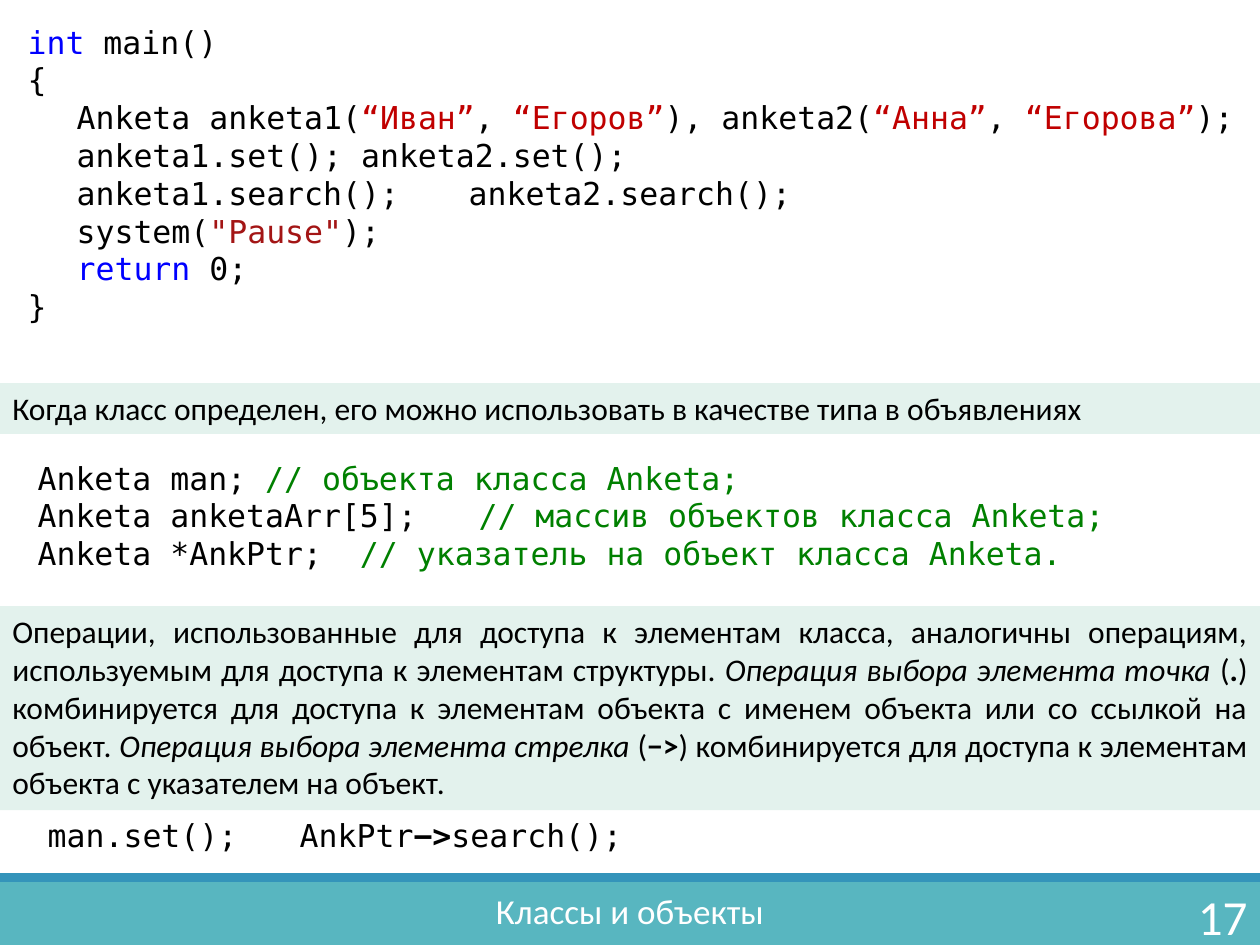
import pptx
import pptx.util
import pptx.dml.color
import pptx.enum.shapes
import pptx.enum.text
import pptx.oxml
import pptx.oxml.ns
import lxml.etree

Pt = pptx.util.Pt
PP_ALIGN = pptx.enum.text.PP_ALIGN
ANCHOR = pptx.enum.text.MSO_ANCHOR
CODE, TEXT = "DejaVu Sans Mono", "Calibri"
COLORS = {
    "footer": "58B6C0", "stripe": "3494BA", "band": "E3F2ED",
    "plain": "000000", "keyword": "0000FF", "string": "C00000",
    "literal": "A31515", "comment": "008000", "white": "FFFFFF",
}

prs = pptx.Presentation()
prs.slide_width, prs.slide_height = Pt(720), Pt(540)
s = prs.slides.add_slide(prs.slide_layouts[5])


def add_rect(left, top, width, height, color):
    sp = s.shapes.add_shape(pptx.enum.shapes.MSO_SHAPE.RECTANGLE,
                            Pt(left), Pt(top), Pt(width), Pt(height))
    sp.shadow.inherit = False
    sp.fill.solid()
    sp.fill.fore_color.rgb = pptx.dml.color.RGBColor.from_string(COLORS[color])
    sp.line.fill.background()
    return sp


def write(sp, lines, font, size=18, align=PP_ALIGN.LEFT, anchor=ANCHOR.TOP, tabs=()):
    tf = sp.text_frame
    tf.word_wrap = True
    tf.vertical_anchor = anchor
    for i, line in enumerate(lines):
        p = tf.add_paragraph() if i else tf.paragraphs[0]
        p.alignment = align
        if font == CODE:
            p.line_spacing = Pt(21.6)
        if tabs:
            tab_list = lxml.etree.SubElement(p._p.get_or_add_pPr(), pptx.oxml.ns.qn("a:tabLst"))
            for pos in tabs:
                lxml.etree.SubElement(tab_list, pptx.oxml.ns.qn("a:tab"), pos=str(Pt(pos)), algn="l")
        p.font.name, p.font.size = font, Pt(size)
        for text, style in line:
            r = p.add_run()
            r.text = text
            color = style if style in COLORS else "plain"
            r.font.color.rgb = pptx.dml.color.RGBColor.from_string(COLORS[color])
            if style == "bold":
                r.font.bold = True
            if style == "italic":
                r.font.italic = True


add_rect(0, 504, 720, 36, "footer")
add_rect(0, 499, 720, 5, "stripe")

title = s.shapes.title
title.element.getparent().append(title.element)
title.left, title.top, title.width, title.height = Pt(275), Pt(508.3), Pt(170), Pt(24.5)
tf = title.text_frame
tf.margin_left = tf.margin_top = tf.margin_right = tf.margin_bottom = 0
tf.auto_size = pptx.enum.text.MSO_AUTO_SIZE.NONE
write(title, [[("Классы и объекты", "white")]], TEXT, 20, PP_ALIGN.CENTER)

main_code = [
    [("int", "keyword"), (" main()", "plain")],
    [("{", "plain")],
    [("\tAnketa anketa1(", "plain"), ("“Иван”", "string"), (", ", "plain"),
     ("“Егоров”", "string"), ("), anketa2(", "plain"), ("“Анна”", "string"),
     (", ", "plain"), ("“Егорова”", "string"), (");", "plain")],
    [("\tanketa1.set(); anketa2.set();", "plain")],
    [("\tanketa1.search(); \tanketa2.search();", "plain")],
    [("\tsystem(", "plain"), ("\"Pause\"", "literal"), (");", "plain")],
    [("\treturn", "keyword"), (" 0;", "plain")],
    [("}", "plain")],
]
declarations = [
    [("Anketa man; ", "plain"), ("// объекта класса Anketa;", "comment")],
    [("Anketa anketaArr[5];\t", "plain"), ("// массив объектов класса Anketa;", "comment")],
    [("Anketa *AnkPtr;  ", "plain"), ("// указатель на объект класса Anketa.", "comment")],
]
calls = [[("man.set(); \tAnkPtr", "plain"), ("−>", "bold"), ("search();", "plain")]]

for left, top, width, height, lines, tabs in [
    (8.7, 9.4, 711.3, 181.4, main_code, (28, 252)),
    (14.4, 258.5, 635, 72.7, declarations, (252,)),
    (20.2, 463, 360, 29, calls, (144,)),
]:
    sp = s.shapes.add_textbox(Pt(left), Pt(top), Pt(width), Pt(height))
    write(sp, lines, CODE, tabs=tabs)

usage = [[("Когда класс определен, его можно использовать в качестве типа в объявлениях", "plain")]]
access = [[
    ("Операции, использованные для доступа к элементам класса, аналогичны операциям, "
     "используемым для доступа к элементам структуры. ", "plain"),
    ("Операция выбора элемента точка ", "italic"), ("(", "plain"), (".", "bold"),
    (") комбинируется для доступа к элементам объекта с именем объекта "
     "или со ссылкой на объект. ", "plain"),
    ("Операция выбора элемента стрелка ", "italic"), ("(", "plain"), ("−>", "bold"),
    (") комбинируется для доступа к элементам объекта с указателем на объект.", "plain"),
]]
for top, height, lines in [(218.9, 29.1, usage), (346.3, 116.6, access)]:
    write(add_rect(0, top, 720, height, "band"), lines, TEXT, align=PP_ALIGN.JUSTIFY)

number = s.shapes.add_textbox(Pt(642), Pt(509), Pt(78), Pt(29))
write(number, [[("17", "white")]], TEXT, 28, PP_ALIGN.RIGHT, ANCHOR.MIDDLE)

prs.save("out.pptx")
